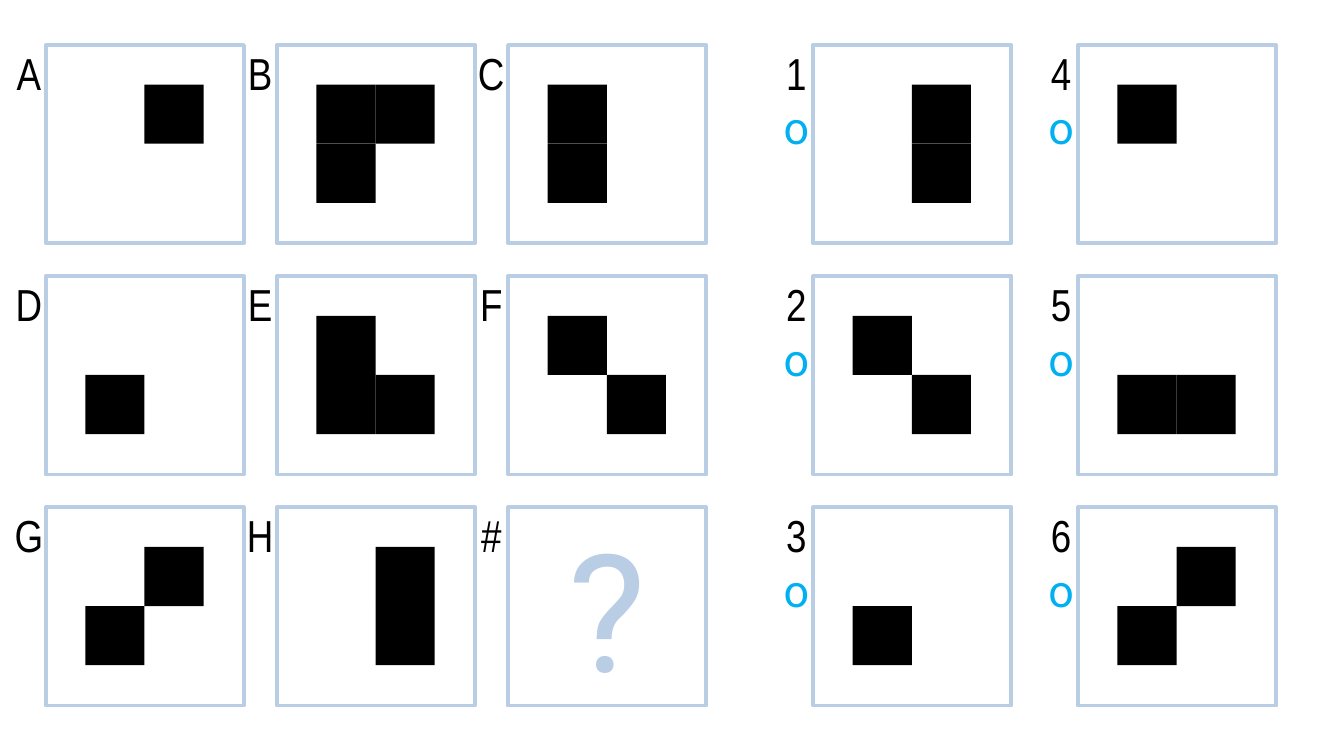
from pptx import Presentation
from pptx.dml.color import RGBColor
from pptx.enum.shapes import MSO_SHAPE as Shape
from pptx.enum.text import MSO_ANCHOR as Anchor, MSO_AUTO_SIZE as Fit, PP_ALIGN as Align
from pptx.util import Pt

SCALE = 4572
PANEL, CELL, INSET = 295, 88, 59
TOP, PITCH = 67, 344
LABEL_W, LABEL_H = 50, 81
PALE, BLACK, BLUE = "B9CDE5", "000000", "00B0F0"
NARROW, ROUND = "Arial Narrow", "Roboto"

PUZZLE = {
    68: (("A", "0100"), ("D", "0010"), ("G", "0110")),
    412: (("B", "1110"), ("E", "1011"), ("H", "0101")),
    756: (("C", "1010"), ("F", "1001"), ("#", "0000")),
}
CHOICES = {
    1210: (("1", "0101"), ("2", "1001"), ("3", "0010")),
    1604: (("4", "1000"), ("5", "0011"), ("6", "0110")),
}


def px(*nums):
    """Turn px lengths into EMU."""
    return [num * SCALE for num in nums]


def color(code):
    """Turn a hex string into a colour."""
    return RGBColor.from_string(code)


def write(frame, text, size, font, code):
    """Put one centred line of text in a frame."""
    par = frame.paragraphs[0]
    par.text = text
    par.alignment = Align.CENTER
    par.font.size = Pt(size)
    par.font.name = font
    par.font.color.rgb = color(code)


def add_box(slide, left, top, side):
    """Add a plain square."""
    box = slide.shapes.add_shape(Shape.RECTANGLE, *px(left, top, side, side))
    box.shadow.inherit = False
    return box


def add_panel(slide, left, top):
    """Add an open square with a pale border."""
    box = add_box(slide, left, top, PANEL)
    box.fill.background()
    box.line.color.rgb = color(PALE)
    box.line.width = Pt(2)
    return box


def add_cells(slide, left, top, bits):
    """Fill the marked cells of a two by two grid, row by row."""
    for spot, bit in enumerate(bits):
        if bit == "1":
            row, col = divmod(spot, 2)
            box = add_box(slide, left + INSET + col * CELL, top + INSET + row * CELL, CELL)
            box.fill.solid()
            box.fill.fore_color.rgb = color(BLACK)
            box.line.fill.background()


def add_label(slide, left, top, text, font, code):
    """Add a label that ends where a panel starts."""
    box = slide.shapes.add_textbox(*px(left - LABEL_W, top, LABEL_W, LABEL_H))
    frame = box.text_frame
    frame.margin_left = frame.margin_right = 0
    frame.margin_top = frame.margin_bottom = 0
    frame.word_wrap = True
    frame.auto_size = Fit.SHAPE_TO_FIT_TEXT
    frame.vertical_anchor = Anchor.BOTTOM
    write(frame, text, 24, font, code)


def add_group(slide, group, marked):
    """Add columns of labelled panels, with answer marks if wanted."""
    for left, items in group.items():
        for row, (name, bits) in enumerate(items):
            top = TOP + row * PITCH
            panel = add_panel(slide, left, top)
            if name == "#":
                panel.text_frame.vertical_anchor = Anchor.MIDDLE
                write(panel.text_frame, "?", 88, ROUND, PALE)
            add_cells(slide, left, top, bits)
            add_label(slide, left, top, name, NARROW, BLACK)
            if marked:
                add_label(slide, left, top + LABEL_H, "ο", ROUND, BLUE)


def main():
    """Build the puzzle slide."""
    deck = Presentation()
    deck.slide_width, deck.slide_height = px(2000, 1125)
    slide = deck.slides.add_slide(deck.slide_layouts[6])
    add_group(slide, PUZZLE, False)
    add_group(slide, CHOICES, True)
    deck.save("out.pptx")


if __name__ == "__main__":
    main()
